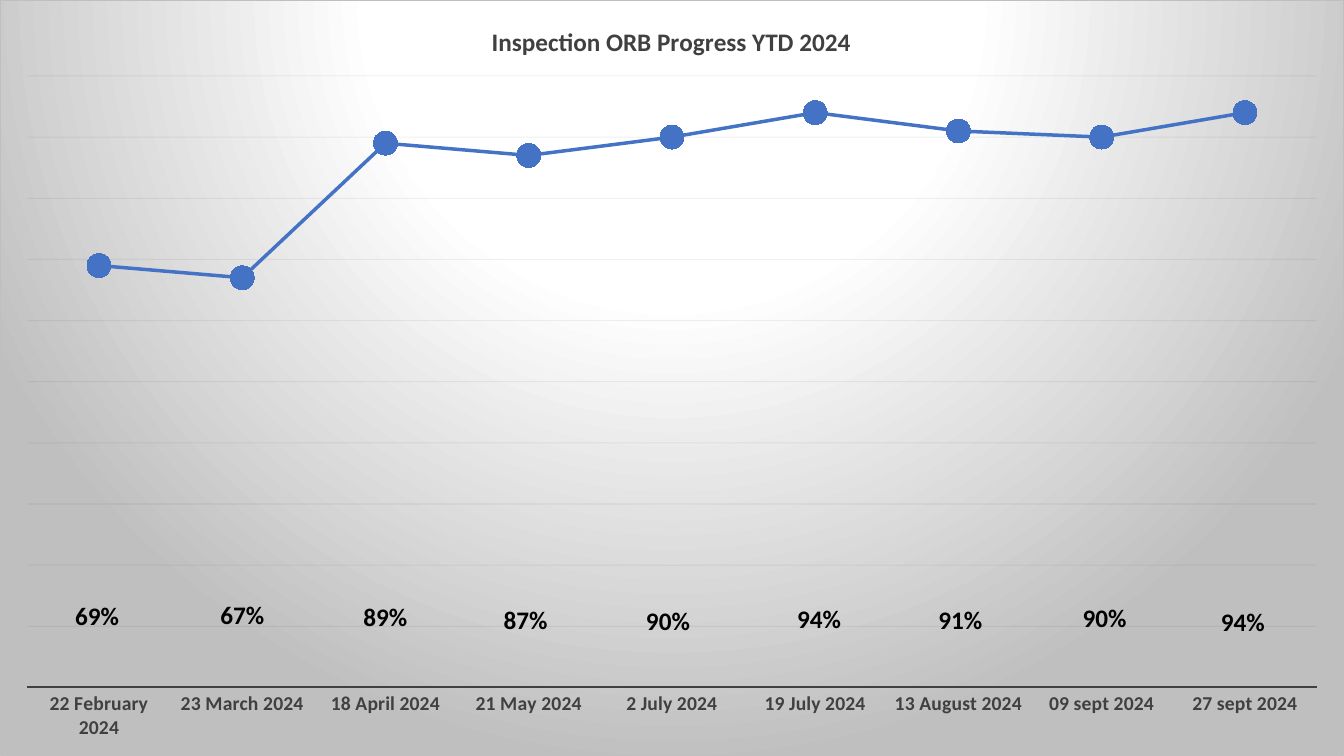
from lxml import etree
from pptx import Presentation
from pptx.chart.data import CategoryChartData
from pptx.dml.color import RGBColor
from pptx.enum.chart import (XL_CHART_TYPE, XL_LABEL_POSITION, XL_MARKER_STYLE,
                             XL_TICK_LABEL_POSITION, XL_TICK_MARK)
from pptx.oxml import parse_xml
from pptx.oxml.ns import nsdecls, qn
from pptx.util import Inches, Pt

LINE = XL_CHART_TYPE.LINE_MARKERS_STACKED
CENTER = XL_LABEL_POSITION.CENTER
CIRCLE = XL_MARKER_STYLE.CIRCLE
NEXT = XL_TICK_LABEL_POSITION.NEXT_TO_AXIS
NONE = XL_TICK_MARK.NONE

BLACK = RGBColor(0x00, 0x00, 0x00)
DARK = RGBColor(0x40, 0x40, 0x40)
INK = RGBColor(0x0D, 0x0D, 0x0D)
BLUE = RGBColor(0x44, 0x72, 0xC4)
WHITE = RGBColor(0xFF, 0xFF, 0xFF)
GREY = RGBColor(0xBF, 0xBF, 0xBF)

WIDE, HIGH = 13.33, 7.5
PLOT = {"x": 0.02, "y": 0.1, "w": 0.96, "h": 0.81}

# date, share, label shift to the right and label height in inches
ROUNDS = [
    ("22 February 2024", 0.69, -0.02, 6.12),
    ("23 March 2024", 0.67, 0, 6.11),
    ("18 April 2024", 0.89, 0, 6.13),
    ("21 May 2024", 0.87, -0.03, 6.16),
    ("2 July 2024", 0.90, -0.04, 6.17),
    ("19 July 2024", 0.94, 0.04, 6.15),
    ("13 August 2024", 0.91, 0.02, 6.16),
    ("09 sept 2024", 0.90, 0.03, 6.14),
    ("27 sept 2024", 0.94, -0.02, 6.18),
]


def layout(modes, spots):
    """Return a manual chart layout; modes and spots map tags to values."""
    parts = "".join(f'<c:{tag} val="{val}"/>'
                    for tag, val in (*modes.items(), *spots.items()))
    return parse_xml(f'<c:layout {nsdecls("c")}><c:manualLayout>{parts}'
                     '</c:manualLayout></c:layout>')


def place(owner, after, new):
    """Put a layout in owner, behind the child named after or first."""
    old = owner.find(qn("c:layout"))
    if old is not None:
        owner.remove(old)
    if after:
        owner.find(qn(after)).addnext(new)
    else:
        owner.insert(0, new)


class Deck:
    face = "Calibri"
    edge = {"xMode": "edge", "yMode": "edge"}

    def __init__(self):
        self.show = Presentation()
        self.show.slide_width = Inches(WIDE)
        self.show.slide_height = Inches(HIGH)
        self.slide = self.show.slides.add_slide(self.show.slide_layouts[6])

    def style(self, font, size, color, bold=False):
        form = {"name": self.face, "size": Pt(size), "bold": bold}
        for key, val in form.items():
            setattr(font, key, val)
        font.color.rgb = color

    def stroke(self, line, color, width):
        line.color.rgb = color
        line.width = Pt(width)

    def chart(self, rows):
        data = CategoryChartData(number_format="0%")
        data.categories = [row[0] for row in rows]
        data.add_series("Series 1", [row[1] for row in rows])
        frame = self.slide.shapes.add_chart(
            LINE, 0, 0, Inches(WIDE), Inches(HIGH), data)
        chart = frame.chart
        chart.has_legend = False
        self.style(chart.font, 10, BLACK)
        area = chart.element.find(qn("c:chart")).find(qn("c:plotArea"))
        place(area, None, layout({"layoutTarget": "inner", **self.edge}, PLOT))
        return chart

    def title(self, chart, text):
        head = chart.chart_title
        head.text_frame.text = text
        self.style(head.text_frame.paragraphs[0].runs[0].font, 18, DARK, True)
        place(chart.element.xpath("c:chart/c:title")[0], "c:tx",
              layout(self.edge, {"x": 4.83 / WIDE, "y": 0.19 / HIGH}))

    def axes(self, chart):
        dates, share = chart.category_axis, chart.value_axis
        form = {"major_tick_mark": NONE, "minor_tick_mark": NONE,
                "tick_label_position": NEXT, "has_major_gridlines": False}
        for key, val in form.items():
            setattr(dates, key, val)
        self.style(dates.tick_labels.font, 14, DARK, True)
        self.stroke(dates.format.line, DARK, 1.5)
        form = {"minimum_scale": 0, "maximum_scale": 1, "major_unit": 0.1,
                "has_major_gridlines": True, "visible": False}
        for key, val in form.items():
            setattr(share, key, val)
        grid = share.major_gridlines
        self.stroke(grid.format.line, INK, 0.75)
        for tone in chart.element.xpath(".//c:majorGridlines//a:srgbClr"):
            etree.SubElement(tone, qn("a:alpha")).set("val", "6000")

    def series(self, chart):
        line = chart.plots[0].series[0]
        line.smooth = False
        self.stroke(line.format.line, BLUE, 2.5)
        mark = line.marker
        mark.style, mark.size = CIRCLE, 17
        mark.format.fill.solid()
        mark.format.fill.fore_color.rgb = BLUE
        self.stroke(mark.format.line, BLUE, 0.75)

    def labels(self, chart, rows):
        """Show each value in a row near the foot of the plot."""
        line = chart.plots[0].series[0]
        tags = line.data_labels
        form = {"show_value": True, "number_format": "0%",
                "number_format_is_linked": False, "position": CENTER}
        for key, val in form.items():
            setattr(tags, key, val)
        self.style(tags.font, 18, BLACK, True)
        for at, (_, share, right, level) in enumerate(rows):
            tag = line.points[at].data_label
            self.style(tag.font, 18, BLACK, True)
            tag.position = CENTER
            point = PLOT["y"] + PLOT["h"] * (1 - share)
            shift = {"x": right / WIDE, "y": level / HIGH - point}
            item = chart.element.xpath(f".//c:dLbl[c:idx/@val='{at}']")[0]
            place(item, "c:idx", layout({}, shift))
        for lead in chart.element.xpath(".//c:showLeaderLines"):
            lead.set("val", "0")

    def ground(self, chart, stops):
        """Fill the chart with a round gradient and give it a thin border."""
        steps = "".join(f'<a:gs pos="{pos * 1000}"><a:srgbClr val="{color}"/>'
                        '</a:gs>' for pos, color in stops)
        look = parse_xml(
            f'<c:spPr {nsdecls("c", "a")}><a:gradFill><a:gsLst>{steps}'
            '</a:gsLst><a:path path="circle"><a:fillToRect l="50000" '
            't="-80000" r="50000" b="180000"/></a:path></a:gradFill>'
            f'<a:ln w="{Pt(0.75)}"><a:solidFill><a:srgbClr val="{GREY}"/>'
            '</a:solidFill></a:ln></c:spPr>')
        chart.element.find(qn("c:chart")).addnext(look)


def main():
    deck = Deck()
    chart = deck.chart(ROUNDS)
    deck.title(chart, "Inspection ORB Progress YTD 2024")
    deck.axes(chart)
    deck.series(chart)
    deck.labels(chart, ROUNDS)
    deck.ground(chart, [(0, WHITE), (39, WHITE), (100, GREY)])
    deck.show.save("out.pptx")


if __name__ == "__main__":
    main()
